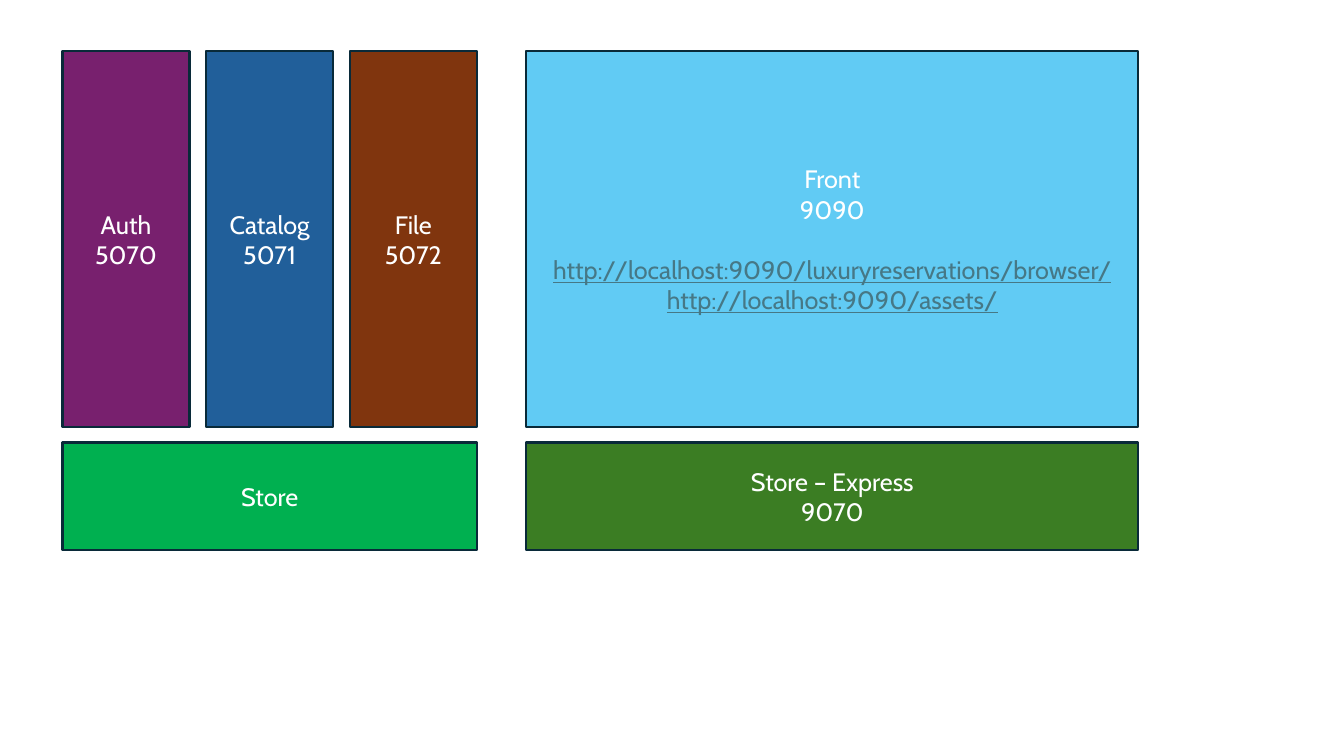
import pptx
import pptx.dml.color
import pptx.enum.shapes
import pptx.enum.text
import pptx.util
from dataclasses import dataclass


@dataclass(frozen=True)
class Theme:
    font: str = "Cabin"
    size: float = 18
    line_height: float = 21.6
    text: str = "FFFFFF"
    link: str = "467886"
    outline: str = "092A39"
    outline_width: float = 1.5
    auth: str = "78206E"
    catalog: str = "215F9A"
    file: str = "80350E"
    store: str = "00B050"
    express: str = "3B7D23"
    front: str = "61CBF4"


THEME = Theme()

SERVICES = [
    (["Auth", "5070"], THEME.auth),
    (["Catalog", "5071"], THEME.catalog),
    (["File", "5072"], THEME.file),
]
DATABASE = ["Store"]
DATABASE_ADMIN = ["Store – Express", "9070"]
FRONT = ["Front", "9090"]
FRONT_LINKS = [
    "http://localhost:9090/luxuryreservations/browser/",
    "http://localhost:9090/assets/",
]

# Two column groups (left, width) and two rows (top, height), in inches
BACKEND, FRONTEND = (0.62, 4.11), (5.22, 6.07)
UPPER, LOWER = (0.51, 3.73), (4.39, 1.07)
SERVICE_WIDTH = 1.26


def rgb(value):
    return pptx.dml.color.RGBColor.from_string(value)


def add_line(tf, text, color=THEME.text, underline=False, space_before=0):
    """Write text in the frame's empty first paragraph, or in a new one."""
    p = tf.paragraphs[0] if not tf.text else tf.add_paragraph()
    p.alignment = pptx.enum.text.PP_ALIGN.CENTER
    p.space_before = pptx.util.Pt(space_before)
    r = p.add_run()
    r.text = text
    r.font.name = THEME.font
    r.font.size = pptx.util.Pt(THEME.size)
    r.font.color.rgb = rgb(color)
    r.font.underline = underline


def add_block(slide, column, row, lines, fill):
    (left, width), (top, height) = column, row
    sp = slide.shapes.add_shape(
        pptx.enum.shapes.MSO_SHAPE.RECTANGLE,
        *map(pptx.util.Inches, (left, top, width, height)))
    sp.shadow.inherit = False
    sp.fill.solid()
    sp.fill.fore_color.rgb = rgb(fill)
    sp.line.color.rgb = rgb(THEME.outline)
    sp.line.width = pptx.util.Pt(THEME.outline_width)
    tf = sp.text_frame
    tf.word_wrap = True
    tf.vertical_anchor = pptx.enum.text.MSO_ANCHOR.MIDDLE
    for text in lines:
        add_line(tf, text)
    return tf


def main():
    prs = pptx.Presentation()
    prs.slide_width = pptx.util.Inches(13.33)
    prs.slide_height = pptx.util.Inches(7.5)
    slide = prs.slides.add_slide(prs.slide_layouts[6])

    left, width = BACKEND
    step = (width - SERVICE_WIDTH) / (len(SERVICES) - 1)
    for i, (lines, fill) in enumerate(SERVICES):
        add_block(slide, (left + i * step, SERVICE_WIDTH), UPPER, lines, fill)

    add_block(slide, BACKEND, LOWER, DATABASE, THEME.store)
    add_block(slide, FRONTEND, LOWER, DATABASE_ADMIN, THEME.express)
    tf = add_block(slide, FRONTEND, UPPER, FRONT, THEME.front)
    for i, url in enumerate(FRONT_LINKS):
        add_line(tf, url, color=THEME.link, underline=True,
                 space_before=THEME.line_height if i == 0 else 0)

    prs.save("out.pptx")


if __name__ == "__main__":
    main()
